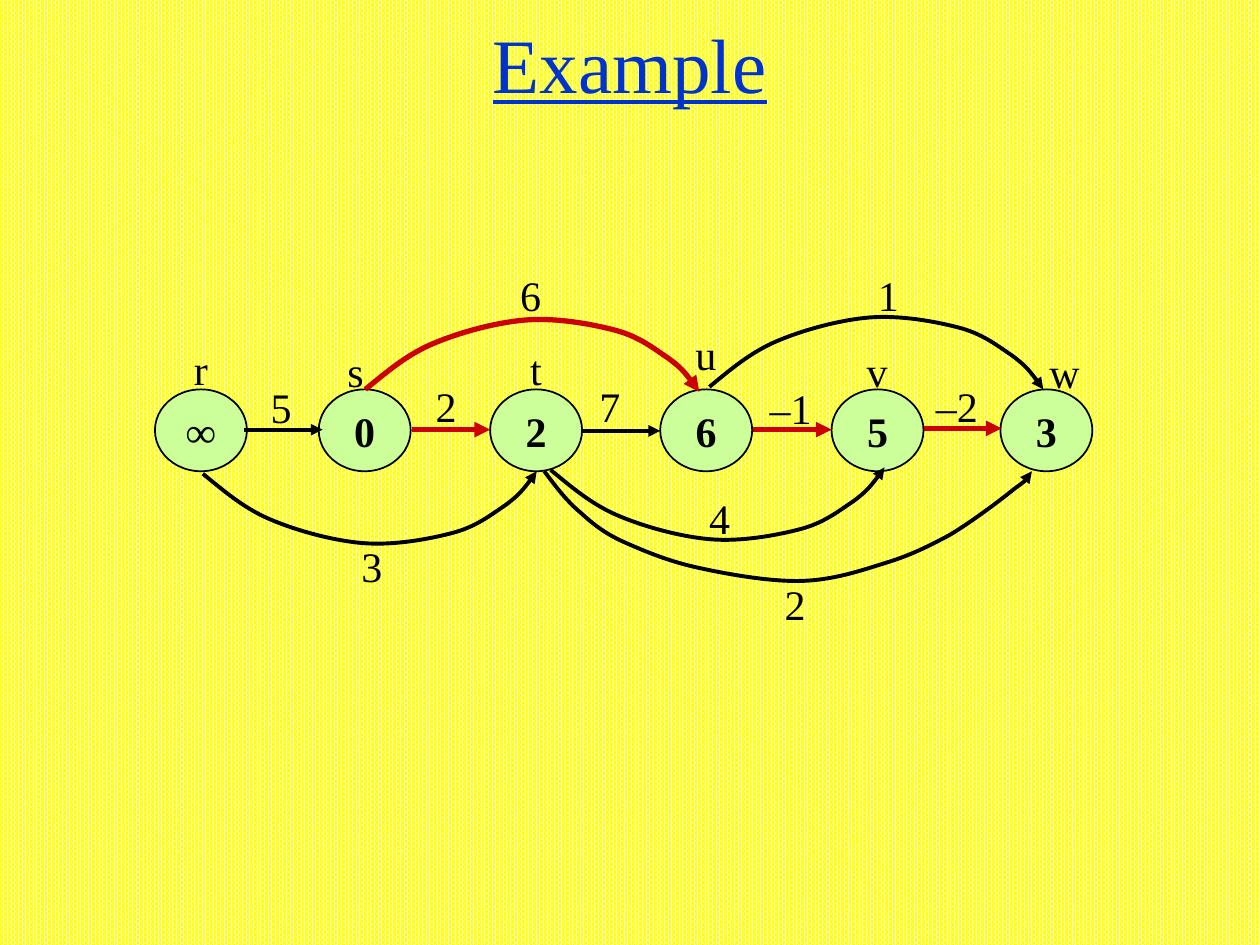
from itertools import accumulate

from lxml import etree
from pptx import Presentation
from pptx.dml.color import RGBColor
from pptx.enum.dml import MSO_PATTERN
from pptx.enum.shapes import MSO_CONNECTOR, MSO_SHAPE
from pptx.enum.text import MSO_ANCHOR, MSO_AUTO_SIZE, PP_ALIGN
from pptx.oxml.ns import qn
from pptx.util import Inches, Pt

FONT = "Times New Roman"
BLACK, RED, GREEN, BLUE = "000000", "CC0000", "CCFF99", "0033CC"

# Node: value, left offset
NODES = [("∞", 0), ("0", 1.3), ("2", 2.66), ("6", 4.01), ("5", 5.37), ("3", 6.71)]
NODE_TOP, NODE_W, NODE_H = 1, 0.73, 0.65

# Straight edge: start x, y, colour
EDGES = [(0.71, 1.32, BLACK), (2.04, 1.32, RED), (3.39, 1.33, BLACK),
         (4.75, 1.32, RED), (6.1, 1.31, RED)]
EDGE_W = 0.62

# Bezier points measured from the start of a curve
ARC = [(0, 0), (0.16, -0.13), (0.32, -0.27), (0.53, -0.36), (0.74, -0.45),
       (1.03, -0.53), (1.27, -0.55), (1.51, -0.57), (1.79, -0.52), (1.98, -0.47),
       (2.17, -0.42), (2.28, -0.33), (2.4, -0.25), (2.51, -0.17), (2.58, -0.08),
       (2.65, 0.02)]
SWEEP = [(0, 0), (0.09, 0.12), (0.18, 0.24), (0.29, 0.33), (0.4, 0.43),
         (0.49, 0.5), (0.65, 0.57), (0.81, 0.64), (1, 0.72), (1.24, 0.77),
         (1.47, 0.82), (1.81, 0.88), (2.06, 0.87), (2.3, 0.86), (2.51, 0.79),
         (2.7, 0.73), (2.9, 0.67), (3.04, 0.6), (3.21, 0.51), (3.38, 0.41),
         (3.62, 0.23), (3.73, 0.14), (3.84, 0.06), (3.86, 0.03), (3.87, 0)]

# Curved edge: points, start x, y, vertical direction, colour
CURVES = [(ARC, 1.67, 1, 1, RED), (ARC, 4.4, 0.98, 1, BLACK),
          (ARC, 0.38, 1.67, -1, BLACK), (ARC, 3.14, 1.64, -1, BLACK),
          (SWEEP, 3.09, 1.65, 1, BLACK)]

# Label: text, left, top, width
LABELS = [("r", 0.21, 0.59, 0.31), ("s", 1.43, 0.6, 0.33), ("t", 2.88, 0.59, 0.29),
          ("u", 4.19, 0.47, 0.37), ("v", 5.55, 0.6, 0.37), ("w", 7, 0.61, 0.44),
          ("5", 0.82, 0.89, 0.37), ("2", 2.13, 0.88, 0.37), ("7", 3.43, 0.88, 0.37),
          ("–1", 4.78, 0.9, 0.53), ("–2", 6.1, 0.88, 0.53), ("6", 2.8, 0, 0.37),
          ("1", 5.64, 0, 0.37), ("3", 1.54, 2.15, 0.37), ("2", 4.9, 2.45, 0.37),
          ("4", 4.3, 1.77, 0.37)]


def color(code):
    return RGBColor.from_string(code)


def write(shape, text, size=24, code=BLACK, align=None):
    para = shape.text_frame.paragraphs[0]
    para.text = text
    para.alignment = align
    para.font.name = FONT
    para.font.size = Pt(size)
    para.font.color.rgb = color(code)
    return para.font


def arrow(shape, code):
    """Style a line: red edges are thicker, and all end in an arrowhead."""
    shape.line.color.rgb = color(code)
    shape.line.width = Pt(3 if code == RED else 2.25)
    tail = etree.SubElement(shape.line._get_or_add_ln(), qn("a:tailEnd"))
    tail.set("type", "triangle")


def node(slide, text, left, top):
    oval = slide.shapes.add_shape(MSO_SHAPE.OVAL, Inches(left), Inches(top),
                                  Inches(NODE_W), Inches(NODE_H))
    oval.shadow.inherit = False
    oval.fill.solid()
    oval.fill.fore_color.rgb = color(GREEN)
    oval.line.color.rgb = color(BLACK)
    oval.line.width = Pt(1)
    oval.text_frame.word_wrap = False
    oval.text_frame.vertical_anchor = MSO_ANCHOR.MIDDLE
    write(oval, text, align=PP_ALIGN.CENTER).bold = True


def edge(slide, left, top, code):
    line = slide.shapes.add_connector(MSO_CONNECTOR.STRAIGHT, Inches(left), Inches(top),
                                      Inches(left + EDGE_W), Inches(top))
    arrow(line, code)
    etree.SubElement(line._element.spPr, qn("a:effectLst"))


def curve(slide, points, left, top, turn, code):
    spots = [(Inches(left + x), Inches(top + turn * y)) for x, y in points]
    pen = slide.shapes.build_freeform(*spots[0])
    pen.add_line_segments(spots[1:], close=False)
    shape = pen.convert_to_shape()
    # Every three points form one cubic segment
    steps = list(shape._element.iter(qn("a:lnTo")))
    for i in range(0, len(steps), 3):
        bend = etree.Element(qn("a:cubicBezTo"))
        steps[i].addprevious(bend)
        for step in steps[i:i + 3]:
            bend.append(step[0])
            step.getparent().remove(step)
    shape.shadow.inherit = False
    shape.fill.background()
    arrow(shape, code)


def label(slide, text, left, top, width):
    box = slide.shapes.add_textbox(Inches(left), Inches(top), Inches(width), Inches(0.5))
    box.text_frame.word_wrap = False
    box.text_frame.auto_size = MSO_AUTO_SIZE.SHAPE_TO_FIT_TEXT
    write(box, text)


def title(slide, left, top, width, height):
    box = slide.shapes.add_textbox(Inches(left), Inches(top), Inches(width), Inches(height))
    box.text_frame.word_wrap = True
    box.text_frame.vertical_anchor = MSO_ANCHOR.MIDDLE
    write(box, "Example", 44, BLUE, PP_ALIGN.CENTER).underline = True


def graph(slide, left, top):
    for text, x in NODES:
        node(slide, text, left + x, top + NODE_TOP)
    for x, y, code in EDGES:
        edge(slide, left + x, top + y, code)
    for points, x, y, turn, code in CURVES:
        curve(slide, points, left + x, top + y, turn, code)
    for text, x, y, width in LABELS:
        label(slide, text, left + x, top + y, width)


def main():
    deck = Presentation()
    deck.slide_width, deck.slide_height = Inches(10), Inches(7.5)
    slide = deck.slides.add_slide(deck.slide_layouts[6])

    # Patterned background
    fill = slide.background.fill
    fill.patterned()
    fill.pattern = MSO_PATTERN.PERCENT_80
    fill.fore_color.rgb = color("FFFFCC")
    fill.back_color.rgb = color("FFFF00")

    title(slide, 0, 0, 10, 1)
    graph(slide, 1.23, 2.09)
    deck.save("out.pptx")


if __name__ == "__main__":
    main()
